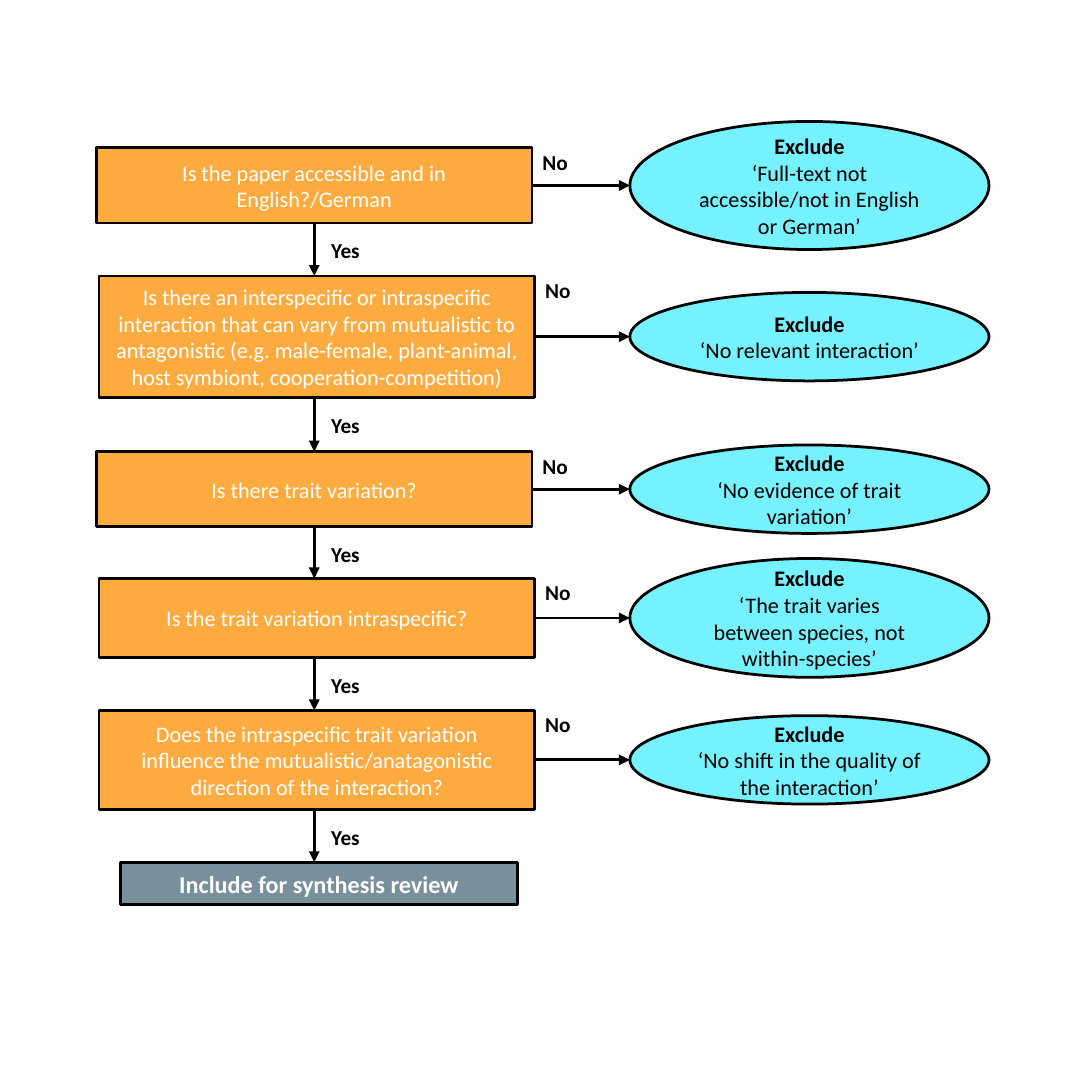
from lxml import etree
from pptx import Presentation
from pptx.dml.color import RGBColor
from pptx.enum.shapes import MSO_CONNECTOR, MSO_SHAPE
from pptx.enum.text import MSO_ANCHOR, MSO_AUTO_SIZE, PP_ALIGN
from pptx.oxml.ns import qn
from pptx.util import Inches, Pt

RECTANGLE, ELLIPSE = MSO_SHAPE.RECTANGLE, MSO_SHAPE.OVAL
STRAIGHT = MSO_CONNECTOR.STRAIGHT
MIDDLE, CENTER = MSO_ANCHOR.MIDDLE, PP_ALIGN.CENTER
FIT_SHAPE = MSO_AUTO_SIZE.SHAPE_TO_FIT_TEXT

COLORS = {
    "question": "FFAB40",
    "exclude": "76F2FF",
    "include": "78909C",
    "ink": "000000",
    "light": "FFFFFF",
}

BOX_WIDTH = 3.3
EXCLUDE_LEFT, EXCLUDE_WIDTH = 4.77, 2.72
FLOW_X = 2.38
INCLUDE_TOP = 6.53

STEPS = [
    (0.73, 1.12, 0.57, 0.97, "Is the paper accessible and in English?/German",
     "‘Full-text not accessible/not in English or German’"),
    (0.75, 2.09, 0.92, 0.67,
     "Is there an interspecific or intraspecific interaction that can vary from "
     "mutualistic to antagonistic (e.g. male-female, plant-animal, host symbiont, "
     "cooperation-competition)",
     "‘No relevant interaction’"),
    (0.73, 3.42, 0.57, 0.67, "Is there trait variation?",
     "‘No evidence of trait variation’"),
    (0.75, 4.38, 0.6, 0.9, "Is the trait variation intraspecific?",
     "‘The trait varies between species, not within-species’"),
    (0.75, 5.38, 0.75, 0.67,
     "Does the intraspecific trait variation influence the "
     "mutualistic/anatagonistic direction of the interaction?",
     "‘No shift in the quality of the interaction’"),
]


class FlowChart:
    """Draws the parts of a screening flow chart on one slide."""

    def __init__(self, page, font="Calibri", line_width=1.5):
        self.page = page
        self.font = font
        self.line_width = Pt(line_width)

    def color(self, name):
        return RGBColor.from_string(COLORS[name])

    def style(self, para, size, color, bold=False):
        para.font.name = self.font
        para.font.size = Pt(size)
        para.font.bold = bold
        para.font.color.rgb = self.color(color)

    def outline(self, line):
        line.color.rgb = self.color("ink")
        line.width = self.line_width

    def node(self, kind, left, top, width, height, fill, lines, color,
             size=12.1, inset=(0.11, 0.06)):
        box = self.page.shapes.add_shape(
            kind, Inches(left), Inches(top), Inches(width), Inches(height))
        box.shadow.inherit = False
        box.fill.solid()
        box.fill.fore_color.rgb = self.color(fill)
        self.outline(box.line)
        frame = box.text_frame
        frame.word_wrap = True
        frame.vertical_anchor = MIDDLE
        frame.margin_left = frame.margin_right = Inches(inset[0])
        frame.margin_top = frame.margin_bottom = Inches(inset[1])
        frame.text = "\n".join(text for text, bold in lines)
        for para, (text, bold) in zip(frame.paragraphs, lines):
            para.alignment = CENTER
            self.style(para, size, color, bold)

    def label(self, text, left, top, width):
        box = self.page.shapes.add_textbox(
            Inches(left), Inches(top), Inches(width), Inches(0.3))
        frame = box.text_frame
        frame.word_wrap = False
        frame.auto_size = FIT_SHAPE
        frame.text = text
        self.style(frame.paragraphs[0], 11.6, "ink", True)

    def arrow(self, start_x, start_y, end_x, end_y):
        arrow = self.page.shapes.add_connector(
            STRAIGHT, Inches(start_x), Inches(start_y), Inches(end_x), Inches(end_y))
        self.outline(arrow.line)
        etree.SubElement(arrow.line._get_or_add_ln(), qn("a:tailEnd"), type="triangle")
        etree.SubElement(arrow._element.spPr, qn("a:effectLst"))

    def step(self, left, top, height, exclude_height, question, reason, next_top):
        right, bottom, middle = left + BOX_WIDTH, top + height, top + height / 2
        self.node(RECTANGLE, left, top, BOX_WIDTH, height, "question",
                  [(question, False)], "light")
        self.node(ELLIPSE, EXCLUDE_LEFT, middle - exclude_height / 2, EXCLUDE_WIDTH,
                  exclude_height, "exclude", [("Exclude", True), (reason, False)], "ink")
        self.arrow(right, middle, EXCLUDE_LEFT, middle)
        self.label("No", right - 0.02, top - 0.04, 0.4)
        self.arrow(FLOW_X, bottom, FLOW_X, next_top)
        self.label("Yes", FLOW_X + 0.03, bottom + 0.06, 0.43)


def main():
    deck = Presentation()
    deck.slide_width = deck.slide_height = Inches(8.27)
    chart = FlowChart(deck.slides.add_slide(deck.slide_layouts[6]))
    next_tops = [step[1] for step in STEPS[1:]] + [INCLUDE_TOP]
    for step, next_top in zip(STEPS, next_tops):
        chart.step(*step, next_top)
    chart.node(RECTANGLE, 0.91, INCLUDE_TOP, 3.01, 0.32, "include",
               [("Include for synthesis review", True)], "light", 13.2, (0.1, 0.05))
    deck.save("out.pptx")


if __name__ == "__main__":
    main()
